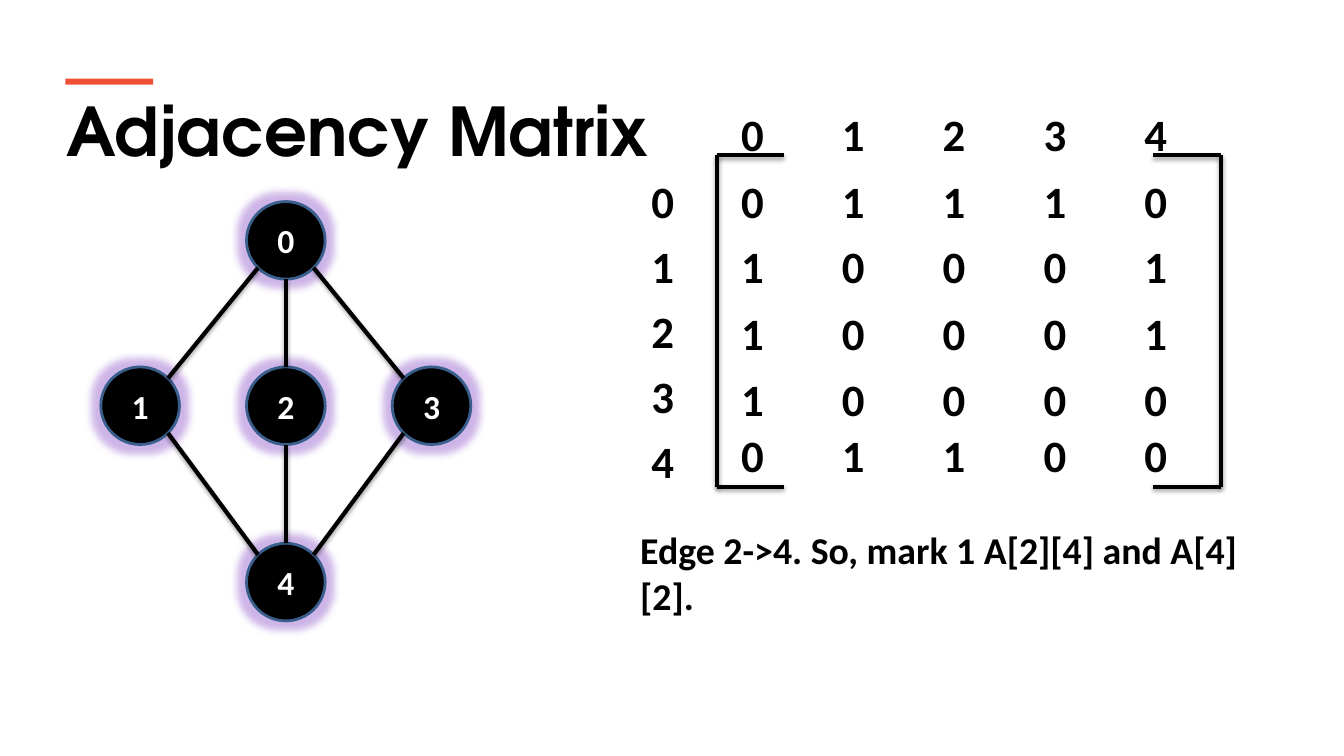
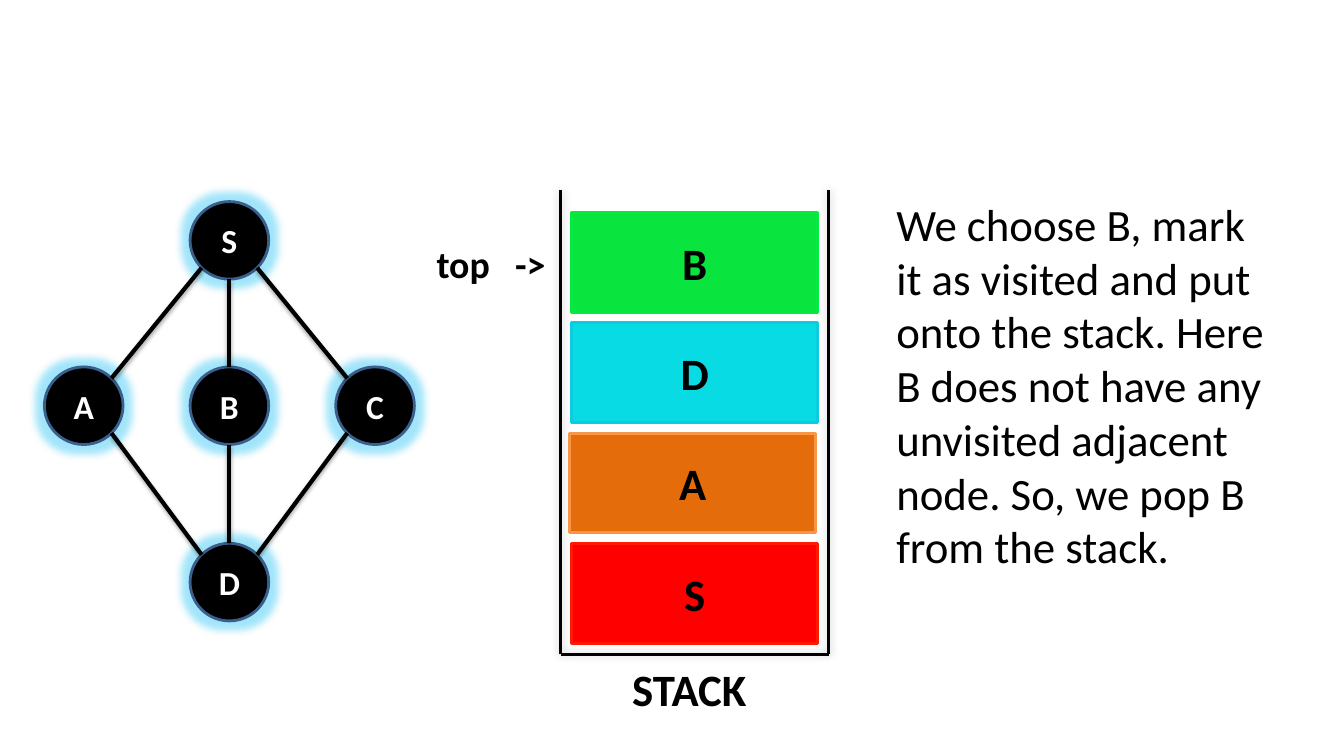
from math import sqrt

from lxml.etree import SubElement
from pptx import Presentation
from pptx.dml.color import RGBColor
from pptx.enum.shapes import MSO_CONNECTOR, MSO_SHAPE
from pptx.enum.text import MSO_ANCHOR, PP_ALIGN
from pptx.oxml.ns import qn
from pptx.util import Inches, Pt

BLACK, WHITE, ACCENT = "000000", "FFFFFF", "F05136"
NODE_LINE, PURPLE, CYAN = "3A5F8C", "8447C6", "17BFF5"
TITLE = {"name": "TeX Gyre Adventor", "size": Pt(48), "bold": True}
BODY = {"name": "Calibri", "size": Pt(32), "bold": False}
STRONG = {**BODY, "bold": True}
CAPTION = {**STRONG, "size": Pt(27)}
NODE_TEXT = {**STRONG, "size": Pt(24)}
INSETS = (0.13, 0.07, 0.13, 0.07)
EDGE_SHADOW = {"blur": 3.1, "dist": 1.8, "angle": 90, "alpha": 35}
WALL_SHADOW = {"blur": 6, "dist": 0, "angle": 225, "alpha": 20}
NODE_W, NODE_H = 0.78, 0.77
EDGES = [(0, 1), (4, 1), (3, 0), (4, 3), (2, 4), (0, 2)]


def rgb(value):
    """Turn a hex string into a colour."""
    return RGBColor.from_string(value)


def place(shape, box):
    """Move a shape to a box given in inches."""
    for side, value in zip(("left", "top", "width", "height"), box):
        setattr(shape, side, Inches(value))


def add_effect(shape, kind, color, alpha, **attributes):
    """Give a shape one effect in place of its theme effects."""
    properties = shape._element.spPr
    effects = properties.find(qn("a:effectLst"))
    if effects is None:
        effects = SubElement(properties, qn("a:effectLst"))
    effect = SubElement(effects, qn(f"a:{kind}"), attributes)
    tone = SubElement(effect, qn("a:srgbClr"), val=color)
    SubElement(tone, qn("a:alpha"), val=str(alpha * 1000))


def write(shape, lines, style, color=BLACK, align=PP_ALIGN.LEFT,
          anchor=MSO_ANCHOR.TOP, insets=INSETS, wrap=True, after=0, tabs=()):
    """Fill a shape with formatted paragraphs."""
    frame = shape.text_frame
    frame.word_wrap = wrap
    frame.vertical_anchor = anchor
    for side, value in zip(("left", "top", "right", "bottom"), insets):
        setattr(frame, f"margin_{side}", Inches(value))
    frame.text = "\n".join(lines)
    for paragraph in frame.paragraphs:
        paragraph.alignment = align
        paragraph.space_after = Pt(after)
        if tabs:
            stops = SubElement(paragraph._p.get_or_add_pPr(), qn("a:tabLst"))
            for stop in tabs:
                SubElement(stops, qn("a:tab"), pos=str(Inches(stop)), algn="l")
        for name, value in style.items():
            setattr(paragraph.font, name, value)
        paragraph.font.color.rgb = rgb(color)


def add_text(slide, box, lines, style, **options):
    """Add a text box."""
    label = slide.shapes.add_textbox(*map(Inches, box))
    write(label, lines, style, **options)


def add_block(slide, kind, box, fill, outline=None):
    """Add a filled shape without a shadow."""
    block = slide.shapes.add_shape(kind, *map(Inches, box))
    block.shadow.inherit = False
    block.fill.solid()
    block.fill.fore_color.rgb = rgb(fill)
    if outline:
        block.line.color.rgb = rgb(outline)
        block.line.width = Pt(2)
    else:
        block.line.fill.background()
    return block


def add_line(slide, start, end, width, shadow):
    """Add a black straight line with a soft shadow."""
    line = slide.shapes.add_connector(
        MSO_CONNECTOR.STRAIGHT, *map(Inches, (*start, *end)))
    line.line.color.rgb = rgb(BLACK)
    line.line.width = Pt(width)
    add_effect(line, "outerShdw", BLACK, shadow["alpha"],
               blurRad=str(Pt(shadow["blur"])), dist=str(Pt(shadow["dist"])),
               dir=str(shadow["angle"] * 60000), algn="ctr", rotWithShape="0")


def rim_point(node, other):
    """Find where an edge towards another node leaves the rim."""
    dx, dy = other[0] - node[0], other[1] - node[1]
    across = (dx > 0) - (dx < 0)
    down = (dy > 0) - (dy < 0)
    reach = 1 / sqrt(2) if across else 1
    return (node[0] + across * reach * NODE_W / 2,
            node[1] + down * reach * NODE_H / 2)


def add_graph(slide, box, names, glow):
    """Draw the five-node diamond graph inside a box."""
    left, top, width, height = box
    right, bottom = left + width - NODE_W, top + height - NODE_H
    middle, level = (left + right) / 2, top + 1.64
    corners = [(middle, top), (left, level), (middle, level),
               (right, level), (middle, bottom)]
    for name, corner in zip(names, corners):
        node = add_block(slide, MSO_SHAPE.OVAL, (*corner, NODE_W, NODE_H),
                         BLACK, NODE_LINE)
        add_effect(node, "glow", glow, 40, rad=str(Pt(11)))
        write(node, [name], NODE_TEXT, WHITE, PP_ALIGN.CENTER,
              MSO_ANCHOR.MIDDLE)
    centers = [(x + NODE_W / 2, y + NODE_H / 2) for x, y in corners]
    for first, second in EDGES:
        start, end = centers[first], centers[second]
        add_line(slide, rim_point(start, end), rim_point(end, start),
                 3, EDGE_SHADOW)


def add_title(slide, box, text):
    """Set the title and the accent bar above it."""
    title = slide.shapes.title
    place(title, box)
    write(title, [text], TITLE, insets=(0.08, 0.05, 0.08, 0.05))
    add_block(slide, MSO_SHAPE.RECTANGLE,
              (box[0] + 0.07, box[1] - 0.06, 0.87, 0.06), ACCENT)


def add_matrix(slide, box, rows):
    """Draw a bracketed matrix with its row and column numbers."""
    left, top, width, height = box
    right, bottom, lip = left + width, top + height, 0.67
    for side, inward in ((left, lip), (right, -lip)):
        for level in (top, bottom):
            add_line(slide, (side + inward, level), (side, level),
                     3, EDGE_SHADOW)
        add_line(slide, (side, bottom), (side, top), 3, EDGE_SHADOW)
    numbers = [str(index) for index in range(len(rows))]
    steps = [-0.55, 0.11, 0.76, 1.42, 2.08, 2.63]
    for values, step in zip([numbers, *rows], steps):
        add_text(slide, (left + 0.11, top + step, width - 0.3, 0.67),
                 ["\t".join(values)], STRONG, tabs=range(1, len(rows)))
    add_text(slide, (left - 0.78, top + 0.11, 0.55, 3.28), numbers, STRONG,
             after=8)


def add_stack(slide, box, items):
    """Draw an open-topped stack, its items from the top down, and labels."""
    left, top, width, height = box
    right, bottom = left + width, top + height
    add_line(slide, (right, bottom), (left, bottom), 2, WALL_SHADOW)
    for side in (right, left):
        add_line(slide, (side, bottom), (side, top), 2, WALL_SHADOW)
    item_height, first = 0.99, top + 0.22
    pitch = (bottom - 0.11 - item_height - first) / (len(items) - 1)
    for index, (name, fill, outline, shift) in enumerate(items):
        item = add_block(slide, MSO_SHAPE.RECTANGLE,
                         (left + 0.11 + shift, first + index * pitch,
                          width - 0.22, item_height), fill, outline)
        write(item, [name], STRONG, align=PP_ALIGN.CENTER,
              anchor=MSO_ANCHOR.MIDDLE)
    add_text(slide, (left + 0.58, bottom, 1.41, 0.67), ["STACK"], STRONG,
             wrap=False)
    add_text(slide, (left - 1.36, top + 0.43, 1.5, 0.59), ["top\t->"], CAPTION,
             tabs=[0.78])


def build_matrix_slide(deck):
    """Build the adjacency matrix slide."""
    slide = deck.slides.add_slide(deck.slide_layouts[5])
    add_graph(slide, (1, 2, 3.67, 4.16), "01234", PURPLE)
    add_title(slide, (0.58, 0.84, 12.18, 0.91), "Adjacency Matrix")
    add_matrix(slide, (7.11, 1.54, 5, 3.29),
               ["01110", "10001", "10001", "10000", "01100"])
    add_text(slide, (6.22, 5.16, 6.67, 1.04),
             ["Edge 2->4. So, mark 1 A[2][4] and A[4][2]."], CAPTION)


def build_stack_slide(deck):
    """Build the stack traversal slide."""
    slide = deck.slides.add_slide(deck.slide_layouts[6])
    add_text(slide, (8.76, 1.88, 4, 3.9),
             ["We choose B, mark it as visited and put onto the stack. "
              "Here B does not have any unvisited adjacent node. "
              "So, we pop B from the stack."], BODY)
    add_graph(slide, (0.44, 2, 3.67, 4.16), "SABCD", CYAN)
    add_stack(slide, (5.56, 1.89, 2.66, 4.6),
              [("B", "0AE43E", "04EA40", 0), ("D", "09DBE5", "0ECCE0", 0),
               ("A", "E46C0A", "F79646", -0.02), ("S", "FF0000", "FF1901", 0)])


def main():
    """Build and save the deck."""
    deck = Presentation()
    deck.slide_width, deck.slide_height = Inches(13.33), Inches(7.5)
    build_matrix_slide(deck)
    build_stack_slide(deck)
    deck.save("out.pptx")


if __name__ == "__main__":
    main()
